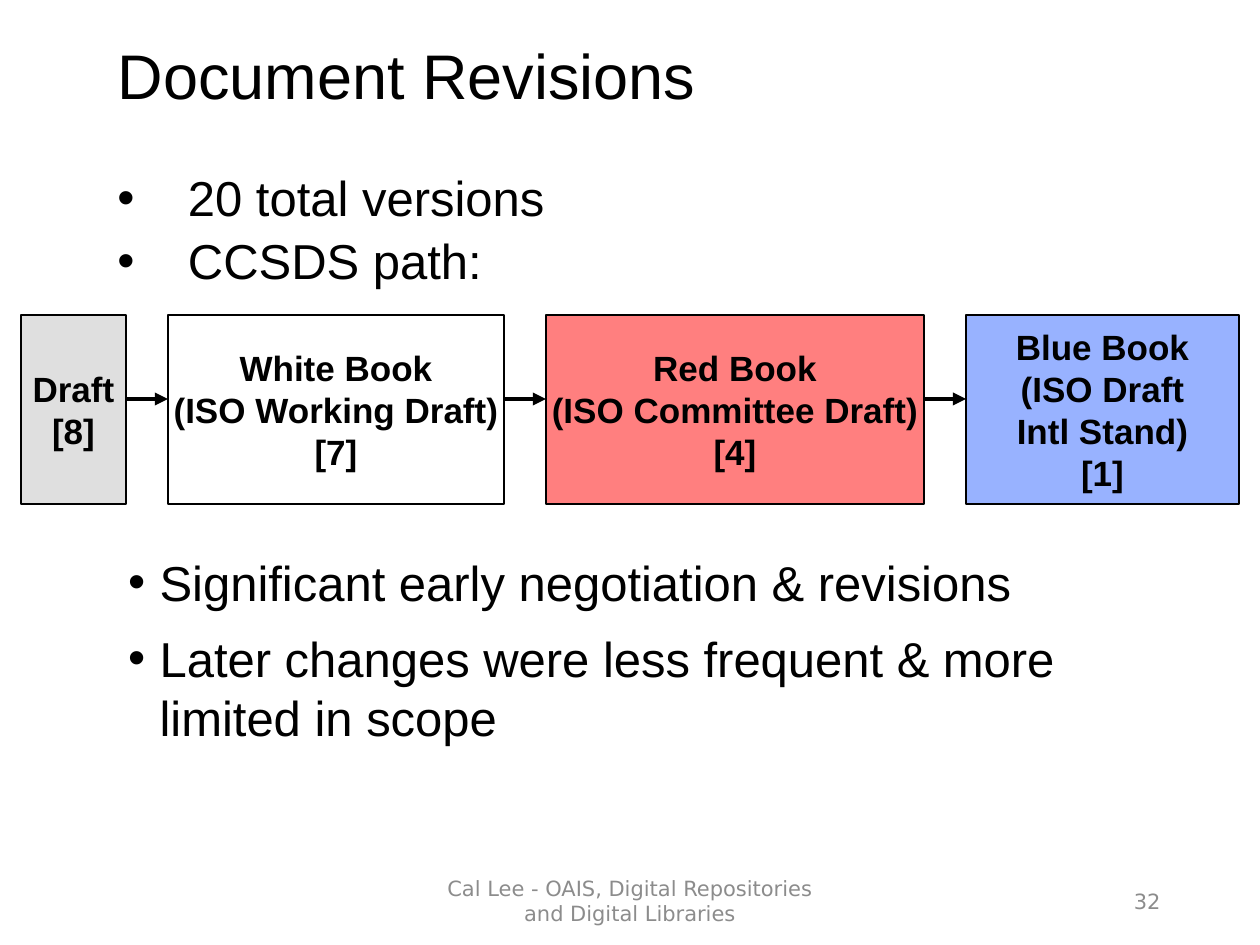
"""Build the Document Revisions slide on a grid of 60 columns by 45 rows."""
from lxml.etree import SubElement as Sub
from pptx import Presentation
from pptx.dml.color import RGBColor as Rgb
from pptx.enum.shapes import MSO_CONNECTOR as Conn, MSO_SHAPE as Kind
from pptx.enum.text import MSO_ANCHOR as Anchor, MSO_AUTO_SIZE as Auto, PP_ALIGN as Align
from pptx.oxml.ns import qn
from pptx.util import Inches, Pt

UNIT = Inches(10) / 60
TOP, TALL, MID, GAP = 15, 9, 19, 2
STAGES = [
    (5, "C0C0C0", ["Draft", "[8]"]),
    (16, None, ["White Book", "(ISO Working Draft)", "[7]"]),
    (18, "FF0000", ["Red Book", "(ISO Committee Draft)", "[4]"]),
    (13, "3366FF", ["Blue Book", "(ISO Draft", "Intl Stand)", "[1]"]),
]


def grid(*cells):
    """Turn grid units into lengths."""
    return [round(cell * UNIT) for cell in cells]


def paint(color, code):
    """Set a colour from a hex string."""
    color.rgb = Rgb.from_string(code)


def place(shape, *cells):
    """Move and size a shape on the grid."""
    shape.left, shape.top, shape.width, shape.height = grid(*cells)


def write(frame, lines, size, align=Align.LEFT, font="Arial", code="000000",
          bold=False, anchor=Anchor.MIDDLE, wrap=True, lead=1.0, before=0):
    """Fill a text frame, one paragraph a line."""
    frame.auto_size = Auto.NONE
    frame.word_wrap = wrap
    frame.vertical_anchor = anchor
    for i, line in enumerate(lines):
        para = frame.add_paragraph() if i else frame.paragraphs[0]
        para.alignment = align
        para.line_spacing = lead
        para.space_before = Pt(before)
        run = para.add_run()
        run.text = line
        run.font.size, run.font.name, run.font.bold = Pt(size), font, bold
        paint(run.font.color, code)


def bullet(frame, inset):
    """Give each paragraph a bullet and a hanging indent."""
    for para in frame.paragraphs:
        props = para._p.get_or_add_pPr()
        props.set("marL", str(Inches(inset)))
        props.set("indent", str(-Inches(inset)))
        Sub(props, qn("a:buFont")).set("typeface", "Arial")
        Sub(props, qn("a:buChar")).set("char", "•")


def box(slide, left, width, code, lines):
    """Draw one stage of the path."""
    shape = slide.shapes.add_shape(Kind.RECTANGLE, *grid(left, TOP, width, TALL))
    shape.shadow.inherit = False
    if code:
        shape.fill.solid()
        paint(shape.fill.fore_color, code)
        tint = shape.fill._xPr.find(qn("a:solidFill"))[0]
        Sub(tint, qn("a:alpha")).set("val", "50000")
    else:
        shape.fill.background()
    paint(shape.line.color, "000000")
    shape.line.width = Pt(0.75)
    write(shape.text_frame, lines, 20, Align.CENTER, bold=True, wrap=False)


def arrow(slide, left):
    """Draw an arrow across the gap before a stage."""
    link = slide.shapes.add_connector(Conn.STRAIGHT, *grid(left, MID, left + GAP, MID))
    paint(link.line.color, "000000")
    link.line.width = Pt(2.5)
    Sub(link.line._get_or_add_ln(), qn("a:tailEnd")).set("type", "triangle")
    Sub(link._element.spPr, qn("a:effectLst"))


def label(slide, cells, text, align):
    """Add a grey line of text at the foot."""
    shape = slide.shapes.add_textbox(*grid(*cells))
    write(shape.text_frame, [text], 12, align, "DejaVu Sans", "8C8C8C")


def main():
    """Build and save the slide."""
    deck = Presentation()
    deck.slide_width, deck.slide_height = grid(60, 45)
    slide = deck.slides.add_slide(deck.slide_layouts[1])

    title, body = slide.placeholders
    place(title, 5, 0, 51, 7.5)
    write(title.text_frame, ["Document Revisions"], 36, lead=0.9)
    place(body, 5.5, 26, 50.5, 25)
    write(body.text_frame, ["Significant early negotiation & revisions",
                            "Later changes were less frequent & more limited in scope"],
          28, anchor=Anchor.TOP, before=10)
    bullet(body.text_frame, 0.25)

    intro = slide.shapes.add_textbox(*grid(5, 8, 56.6, 9)).text_frame
    write(intro, ["20 total versions", "CCSDS path:"], 28,
          anchor=Anchor.TOP, lead=0.9, before=5.6)
    bullet(intro, 0.56)

    left = 1
    for i, (width, code, lines) in enumerate(STAGES):
        if i:
            arrow(slide, left - GAP)
        box(slide, left, width, code, lines)
        left += width + GAP

    label(slide, (19.86, 41.7, 20.28, 2.4),
          "Cal Lee - OAIS, Digital Repositories and Digital Libraries", Align.CENTER)
    label(slide, (42.36, 41.7, 13.5, 2.4), "32", Align.RIGHT)
    deck.save("out.pptx")


if __name__ == "__main__":
    main()
